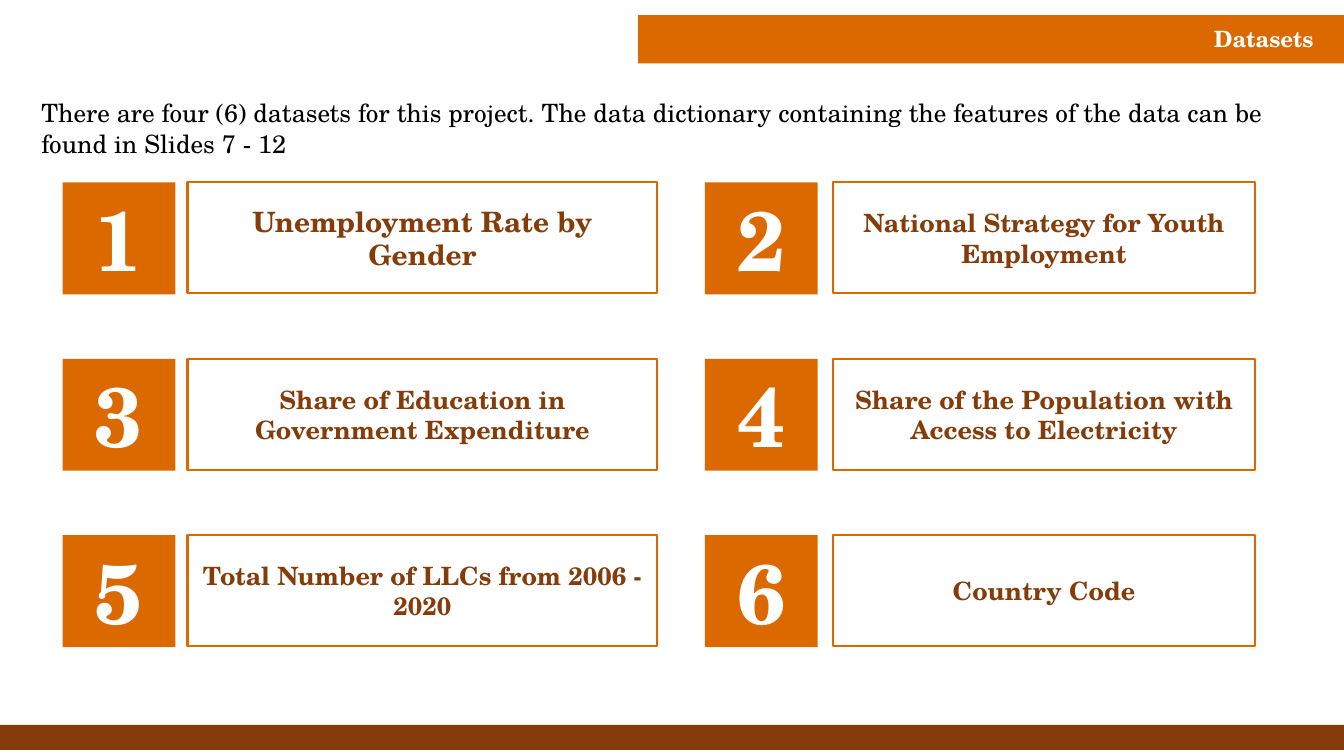
from lxml import etree
from pptx import Presentation
from pptx.dml.color import RGBColor
from pptx.enum.shapes import MSO_SHAPE
from pptx.enum.text import MSO_ANCHOR, MSO_AUTO_SIZE, PP_ALIGN
from pptx.oxml.ns import qn
from pptx.util import Pt

PX = 9144
FONT = "TeX Gyre Schola"
COLORS = {"orange": "DC6900", "brown": "843C0B", "white": "FFFFFF", "black": "000000"}
RECTANGLE = MSO_SHAPE.RECTANGLE
TOP, MIDDLE = MSO_ANCHOR.TOP, MSO_ANCHOR.MIDDLE
LEFT, CENTER, RIGHT = PP_ALIGN.LEFT, PP_ALIGN.CENTER, PP_ALIGN.RIGHT
NO_AUTOSIZE = MSO_AUTO_SIZE.NONE

DATASETS = [
    ("Unemployment Rate by Gender", 20),
    ("National Strategy for Youth Employment", 18),
    ("Share of Education in Government Expenditure", 18),
    ("Share of the Population with Access to Electricity", 18),
    ("Total Number of LLCs from 2006 - 2020", 18),
    ("Country Code", 18),
]
COLUMNS = [(62, 186, 466), (699, 826, 419)]
FIRST_ROW, ROW_PITCH = 181, 175
NUMBER_WIDTH, NUMBER_HEIGHT, LABEL_HEIGHT = 112, 111, 110


def rgb(name):
    return RGBColor.from_string(COLORS[name])


def add_box(slide, left, top, width, height, fill=None, line=None):
    box = slide.shapes.add_shape(RECTANGLE, left * PX, top * PX, width * PX, height * PX)
    box.shadow.inherit = False
    if fill:
        box.fill.solid()
        box.fill.fore_color.rgb = rgb(fill)
    else:
        box.fill.background()
    if line:
        box.line.color.rgb = rgb(line)
        box.line.width = Pt(1.5)
    else:
        box.line.fill.background()
    return box


def write(shape, text, size, color, bold=True, align=CENTER, anchor=MIDDLE):
    frame = shape.text_frame
    frame.word_wrap = True
    frame.auto_size = NO_AUTOSIZE
    frame.vertical_anchor = anchor
    paragraph = frame.paragraphs[0]
    paragraph.text = text
    paragraph.alignment = align
    paragraph.space_before = Pt(0)
    paragraph.font.name = FONT
    paragraph.font.size = Pt(size)
    paragraph.font.bold = bold
    paragraph.font.color.rgb = rgb(color)


def place(placeholder, left, top, width, height):
    placeholder.left, placeholder.top = left * PX, top * PX
    placeholder.width, placeholder.height = width * PX, height * PX


def remove_bullet(paragraph):
    properties = paragraph._p.get_or_add_pPr()
    properties.set("marL", "0")
    properties.set("indent", "0")
    etree.SubElement(properties, qn("a:buNone"))


def add_header(slide):
    banner = add_box(slide, 633, 15, 700, 48, fill="orange")
    slide.shapes._spTree.insert(2, banner._element)
    title = slide.shapes.title
    place(title, 882, 20, 431, 37)
    write(title, "Datasets", 16, "white", align=RIGHT, anchor=TOP)


def add_intro(slide):
    intro = slide.placeholders[1]
    place(intro, 31, 92, 1282, 71)
    remove_bullet(intro.text_frame.paragraphs[0])
    write(intro, "There are four (6) datasets for this project. The data dictionary "
          "containing the features of the data can be found in Slides 7 - 12",
          18, "black", bold=False, align=LEFT, anchor=TOP)


def add_dataset(slide, index, name, size):
    row, column = divmod(index, 2)
    number_left, label_left, label_width = COLUMNS[column]
    top = FIRST_ROW + row * ROW_PITCH
    number = add_box(slide, number_left, top, NUMBER_WIDTH, NUMBER_HEIGHT, fill="orange")
    write(number, str(index + 1), 60, "white", anchor=TOP)
    label = add_box(slide, label_left, top, label_width, LABEL_HEIGHT, line="orange")
    write(label, name, size, "brown")


def main():
    deck = Presentation()
    deck.slide_width, deck.slide_height = 1333 * PX, 750 * PX
    slide = deck.slides.add_slide(deck.slide_layouts[1])
    add_box(slide, 0, 719, 1333, 25, fill="brown")
    add_header(slide)
    add_intro(slide)
    for index, (name, size) in enumerate(DATASETS):
        add_dataset(slide, index, name, size)
    deck.save("out.pptx")


if __name__ == "__main__":
    main()
